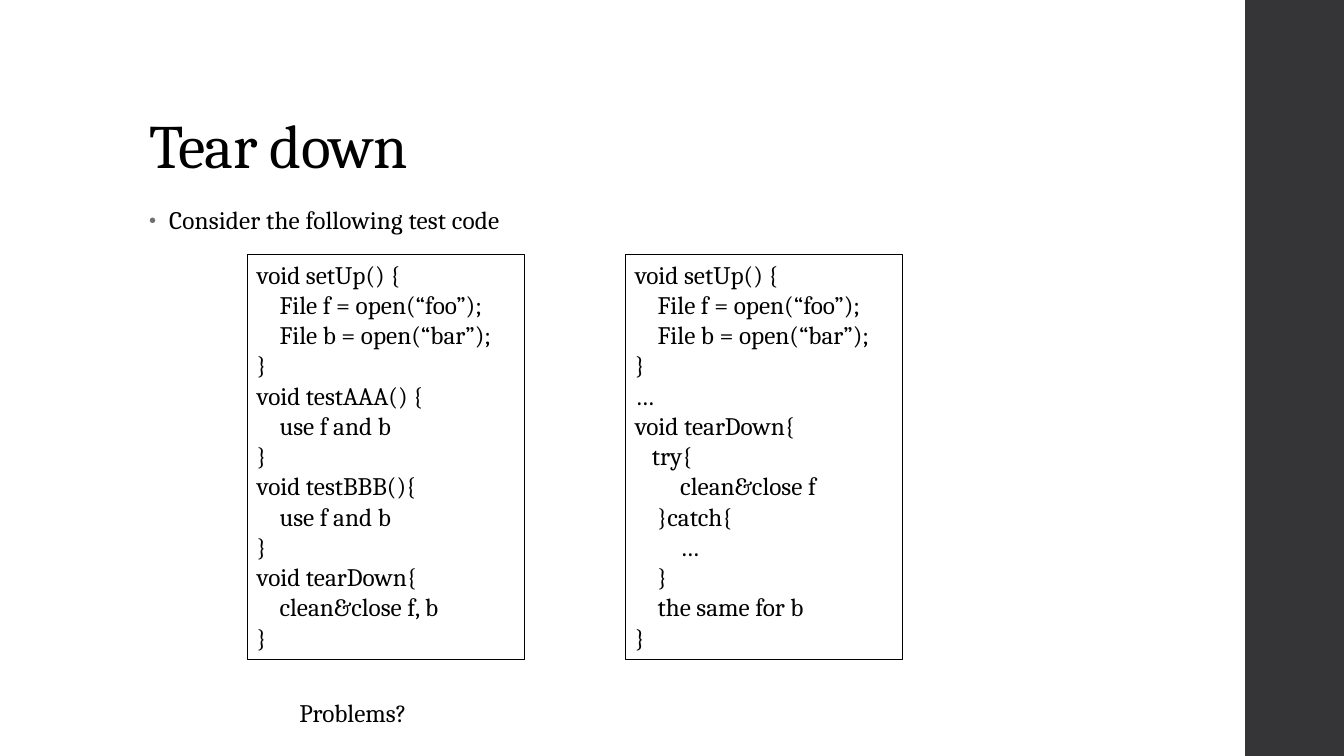
import dataclasses

import pptx
import pptx.dml.color
import pptx.enum.shapes
import pptx.enum.text
import pptx.oxml
import pptx.oxml.ns
import pptx.util

Inches = pptx.util.Inches
Pt = pptx.util.Pt
Anchor = pptx.enum.text.MSO_ANCHOR
Fit = pptx.enum.text.MSO_AUTO_SIZE
RECT = pptx.enum.shapes.MSO_SHAPE.RECTANGLE


@dataclasses.dataclass(frozen=True)
class Theme:
    font: str = "Cambria"
    ink: str = "000000"
    band: str = "353537"
    dot: str = "6F6F74"
    paper: str = "FFFFFF"
    head: int = 44
    text: int = 18
    space: float = 0.056  # width in inches of one space of code indent


def color(code):
    return pptx.dml.color.RGBColor.from_string(code)


def write(frame, text, theme, size=None, line=None, before=0, after=0,
          track=0, dot=False, anchor=Anchor.TOP, wrap=True, fit=Fit.NONE):
    """Fill a frame line by line; leading spaces become paragraph indents."""
    frame.word_wrap, frame.auto_size = wrap, fit
    frame.vertical_anchor = anchor
    for i, row in enumerate(text.splitlines()):
        para = frame.add_paragraph() if i else frame.paragraphs[0]
        para.alignment = pptx.enum.text.PP_ALIGN.LEFT
        para.space_before, para.space_after = Pt(before), Pt(after)
        if line:
            para.line_spacing = line
        body = row.lstrip(" ")
        props = para._p.get_or_add_pPr()
        props.set("marL", str(Inches(theme.space * (len(row) - len(body)))))
        if dot:
            props.set("marL", str(Inches(0.2)))
            props.set("indent", str(Inches(-0.2)))
            ns = pptx.oxml.ns.nsdecls("a")
            for part in (f'<a:buClr {ns}><a:srgbClr val="{theme.dot}"/></a:buClr>',
                         f'<a:buSzPct {ns} val="80000"/>',
                         f'<a:buFont {ns} typeface="Arial"/>',
                         f'<a:buChar {ns} char="\u2022"/>'):
                props.append(pptx.oxml.parse_xml(part))
        run = para.add_run()
        run.text = body
        run.font.name, run.font.size = theme.font, Pt(size or theme.text)
        run.font.color.rgb = color(theme.ink)
        if track:
            run._r.get_or_add_rPr().set("spc", str(round(track * 100)))


class Page:
    def __init__(self, deck, theme):
        self.theme = theme
        self.slide = deck.slides.add_slide(deck.slide_layouts[5])
        fill = self.slide.background.fill
        fill.solid()
        fill.fore_color.rgb = color(theme.paper)

    def title(self, text, x, y, w, h):
        shape = self.slide.shapes.title
        shape.left, shape.top = Inches(x), Inches(y)
        shape.width, shape.height = Inches(w), Inches(h)
        write(shape.text_frame, text, self.theme, size=self.theme.head,
              line=0.9, track=-0.5, anchor=Anchor.BOTTOM)

    def label(self, text, x, y, w, h, **form):
        box = self.slide.shapes.add_textbox(
            Inches(x), Inches(y), Inches(w), Inches(h))
        write(box.text_frame, text, self.theme, **form)

    def rect(self, x, y, w, h, fill=None, line=None):
        shape = self.slide.shapes.add_shape(
            RECT, Inches(x), Inches(y), Inches(w), Inches(h))
        shape.shadow.inherit = False
        if fill:
            shape.fill.solid()
            shape.fill.fore_color.rgb = color(fill)
        else:
            shape.fill.background()
        if line:
            shape.line.color.rgb = color(line)
            shape.line.width = Pt(0.75)
        else:
            shape.line.fill.background()
        return shape

    def code(self, text, x, y, w, h):
        shape = self.rect(x, y, w, h, line=self.theme.ink)
        write(shape.text_frame, text, self.theme, fit=Fit.SHAPE_TO_FIT_TEXT)


# Code shown in the two boxes
SETUP = """void setUp() {
    File f = open(“foo”);
    File b = open(“bar”);
}
"""
PLAIN = SETUP + """void testAAA() {
    use f and b
}
void testBBB(){
    use f and b
}
void tearDown{
    clean&close f, b
}"""
SAFE = SETUP + """…
void tearDown{
   try{
        clean&close f
    }catch{
        …
    }
    the same for b
}"""

deck = pptx.Presentation()
deck.slide_width, deck.slide_height = Inches(13.33), Inches(7.5)
theme = Theme()
page = Page(deck, theme)

# Side band, title and lead line
page.rect(12.35, 0, 1, 7.5, fill=theme.band)
page.title("Tear down", 1.38, 0.4, 10.6, 1.45)
page.label("Consider the following test code", 1.38, 2, 9.4, 4.76,
           line=0.95, before=14, after=2, track=0.1, dot=True)

# Code boxes and closing question
for i, text in enumerate((PLAIN, SAFE)):
    page.code(text, 2.45 + 3.75 * i, 2.52, 2.75, 4.02)
page.label("Problems?", 2.87, 6.87, 1.4, 0.4,
           wrap=False, fit=Fit.SHAPE_TO_FIT_TEXT)

deck.save("out.pptx")
